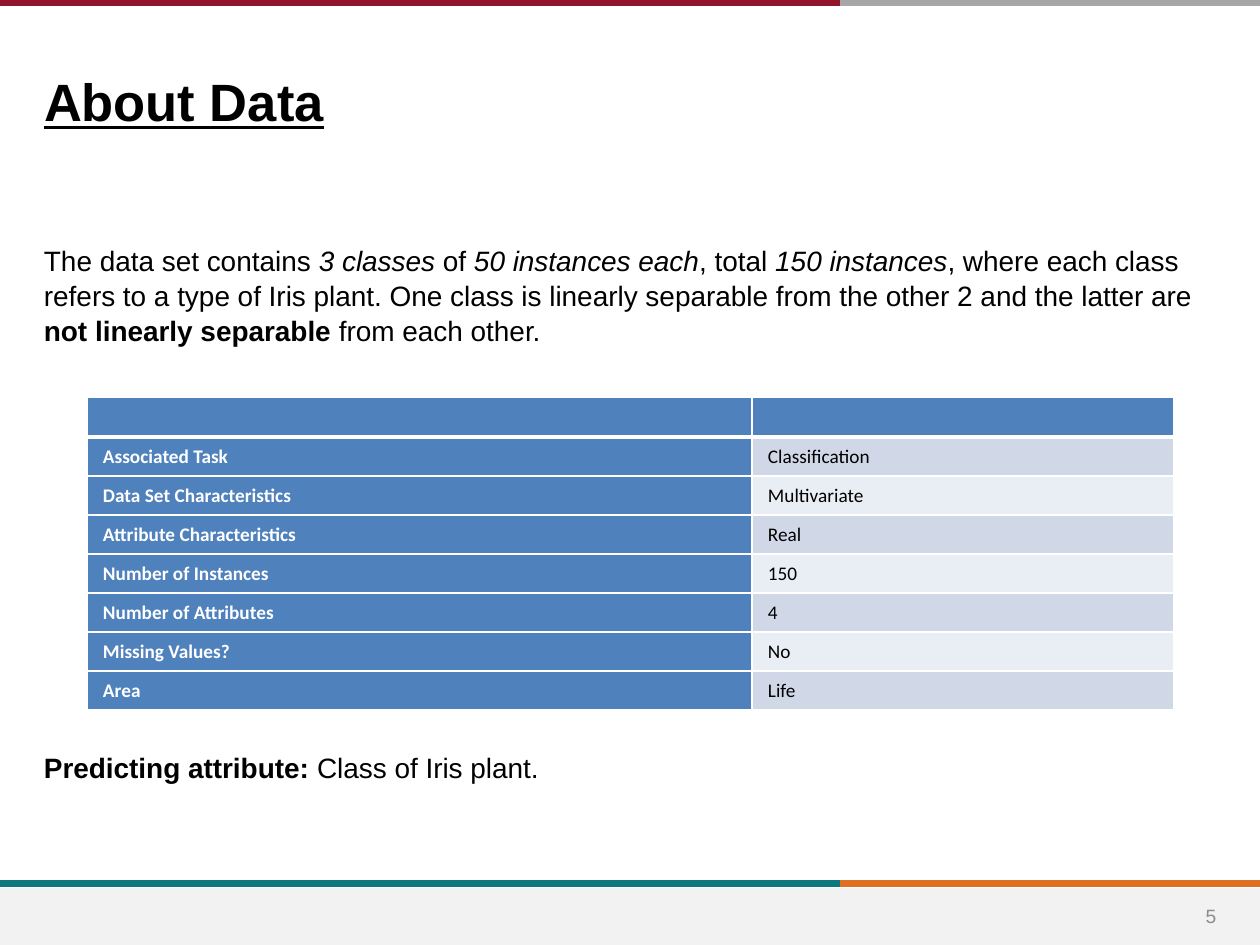
from lxml import etree
from pptx import Presentation
from pptx.dml.color import RGBColor
from pptx.enum.shapes import MSO_CONNECTOR, MSO_SHAPE
from pptx.enum.text import MSO_ANCHOR, PP_ALIGN
from pptx.oxml.ns import qn
from pptx.util import Emu, Pt

LEFT, CENTER, JUSTIFY = PP_ALIGN.LEFT, PP_ALIGN.CENTER, PP_ALIGN.JUSTIFY
TOP, MIDDLE = MSO_ANCHOR.TOP, MSO_ANCHOR.MIDDLE
STRAIGHT, RECT = MSO_CONNECTOR.STRAIGHT, MSO_SHAPE.RECTANGLE

WIDTH, HEIGHT, SPLIT = 1260, 945, 840
COLORS = {
    "black": "000000", "white": "FFFFFF", "red": "90152A", "gray": "A6A6A6",
    "teal": "0F787D", "orange": "DF7023", "footer": "F2F2F2",
    "number": "8C8C8C", "blue": "4F81BD", "band_dark": "D0D8E8",
    "band_light": "E9EDF4",
}
DESCRIPTION = [
    ("The data set contains ", ""), ("3 classes", "i"), (" of ", ""),
    ("50 instances each", "i"), (", total ", ""), ("150 instances", "i"),
    (", where each class refers to a type of Iris plant. One class is linearly "
     "separable from the other 2 and the latter are ", ""),
    ("not linearly separable", "b"), (" from each other.", ""),
]
PREDICTION = [("Predicting attribute:", "b"), (" Class of Iris plant.", "")]
FACTS = [
    ("Associated Task", "Classification"),
    ("Data Set Characteristics", "Multivariate"),
    ("Attribute Characteristics", "Real"),
    ("Number of Instances", "150"),
    ("Number of Attributes", "4"),
    ("Missing Values?", "No"),
    ("Area", "Life"),
]


def px(n):
    return Emu(round(n * 914400 / 126))


def rgb(name):
    return RGBColor.from_string(COLORS[name])


def write(p, runs, size=16, font="Arial", color="black", align=LEFT,
          before=0, after=0, spacing=1.0):
    """Fill a paragraph with (text, style) runs; style letters are b, i, u."""
    p.alignment, p.line_spacing = align, spacing
    p.space_before, p.space_after = Pt(before), Pt(after)
    for text, style in runs:
        r = p.add_run()
        r.text = text
        f = r.font
        f.name, f.size, f.color.rgb = font, Pt(size), rgb(color)
        f.bold, f.italic, f.underline = ("b" in style, "i" in style, "u" in style)


def set_frame(tf, anchor=TOP, top=6):
    tf.word_wrap, tf.vertical_anchor = True, anchor
    tf.margin_left = tf.margin_right = px(13)
    tf.margin_top, tf.margin_bottom = px(top), px(6)


def add_text_box(s, x, y, w, h, anchor=TOP):
    tf = s.shapes.add_textbox(px(x), px(y), px(w), px(h)).text_frame
    set_frame(tf, anchor)
    return tf


def add_bar(s, x1, x2, y, color):
    line = s.shapes.add_connector(STRAIGHT, px(x1), px(y), px(x2), px(y))
    line.line.color.rgb, line.line.width = rgb(color), Pt(4)
    etree.SubElement(line._element.spPr, qn("a:effectLst"))


def add_title(s, text):
    title = s.shapes.title
    title.left, title.top, title.width, title.height = px(31), px(58), px(1007), px(74)
    set_frame(title.text_frame, top=11)
    write(title.text_frame.paragraphs[0], [(text, "bu")], size=30)


def set_borders(cell, top, bottom):
    tc_pr = cell._tc.get_or_add_tcPr()
    for side, width in (("L", 1), ("R", 1), ("T", top), ("B", bottom)):
        ln = etree.SubElement(tc_pr, qn("a:ln" + side), w=str(Pt(width)))
        fill = etree.SubElement(ln, qn("a:solidFill"))
        etree.SubElement(fill, qn("a:srgbClr"), val=COLORS["white"])


def format_cell(cell, row, col):
    set_borders(cell, top=3 if row == 1 else 1, bottom=3 if row == 0 else 1)
    band = "band_dark" if row % 2 else "band_light"
    cell.fill.solid()
    cell.fill.fore_color.rgb = rgb("blue" if row == 0 or col == 0 else band)
    cell.vertical_anchor = MIDDLE
    cell.margin_left = cell.margin_right = px(16)
    cell.margin_top = cell.margin_bottom = px(7 if row else 0)


def add_fact_table(s, x, y, widths, header_height, row_height):
    rows = [("", "")] + FACTS
    height = header_height + row_height * len(FACTS)
    table = s.shapes.add_table(len(rows), len(widths), px(x), px(y),
                               px(sum(widths)), px(height)).table
    for col, width in enumerate(widths):
        table.columns[col].width = px(width)
    for row, texts in enumerate(rows):
        table.rows[row].height = px(row_height if row else header_height)
        for col, text in enumerate(texts):
            cell = table.cell(row, col)
            format_cell(cell, row, col)
            if text:
                style, color = ("", "black") if col else ("b", "white")
                write(cell.text_frame.paragraphs[0], [(text, style)], size=11,
                      font="Calibri", color=color, align=JUSTIFY, after=12)


def main():
    prs = Presentation()
    prs.slide_width, prs.slide_height = px(WIDTH), px(HEIGHT)
    s = prs.slides.add_slide(prs.slide_layouts[5])

    # Coloured bars and footer band
    for y, left_color, right_color in ((3, "red", "gray"), (884, "teal", "orange")):
        add_bar(s, SPLIT, WIDTH, y, right_color)
        add_bar(s, 0, SPLIT, y, left_color)
    footer = s.shapes.add_shape(RECT, 0, px(888), px(WIDTH), px(57))
    footer.shadow.inherit = False
    footer.fill.solid()
    footer.fill.fore_color.rgb = rgb("footer")
    footer.line.fill.background()

    # Title and body; the second paragraph sits below the table
    add_title(s, "About Data")
    tf = add_text_box(s, 31, 236, 1198, 604)
    write(tf.paragraphs[0], DESCRIPTION, spacing=1.04)
    write(tf.add_paragraph(), PREDICTION, before=230, spacing=1.04)

    # Data set facts
    add_fact_table(s, 87, 397, widths=(665, 422), header_height=40, row_height=39)

    # Slide number
    tf = add_text_box(s, 1178, 891, 66, 50, anchor=MIDDLE)
    write(tf.paragraphs[0], [("5", "")], size=11, color="number", align=CENTER)

    prs.save("out.pptx")


if __name__ == "__main__":
    main()
